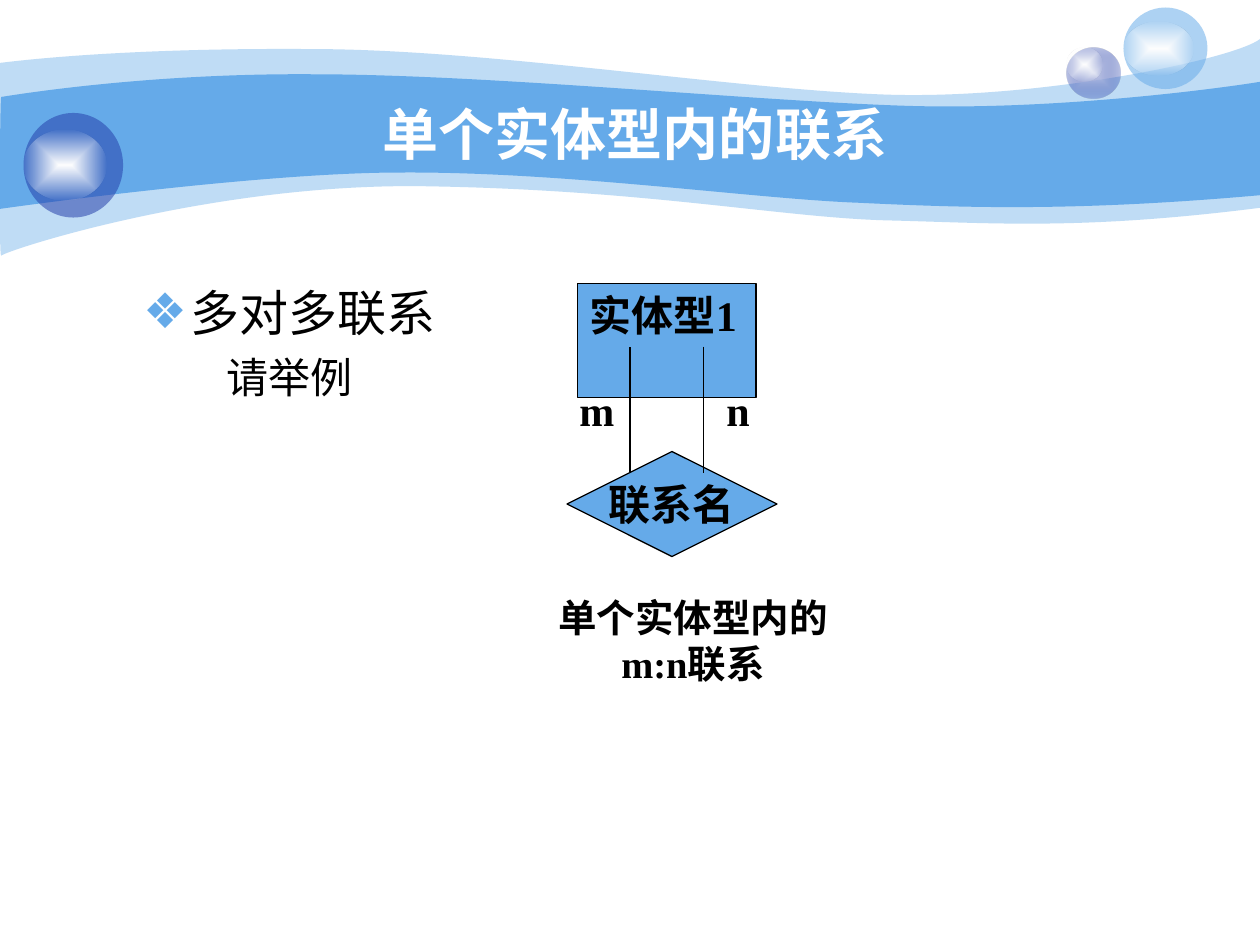
from typing import NamedTuple, Optional

from lxml.etree import SubElement
from pptx import Presentation
from pptx.dml.color import RGBColor
from pptx.enum.shapes import MSO_CONNECTOR, MSO_SHAPE
from pptx.enum.text import MSO_ANCHOR as Anchor, MSO_AUTO_SIZE as AutoSize, PP_ALIGN as Align
from pptx.oxml import parse_xml
from pptx.oxml.ns import nsdecls, qn
from pptx.util import Pt

PX = 3048  # 300 px to the inch
COLORS = {"sky": "65AAE9", "navy": "233DA9", "lilac": "C7CEE9",
          "white": "FFFFFF", "black": "000000"}
SERIF = "Times New Roman"


class Box(NamedTuple):
    left: int
    top: int
    width: int
    height: int

    def emu(self) -> list:
        return [n * PX for n in self]


class Band(NamedTuple):
    """Outline: a start, then straight (x, y) or Bezier (x1, y1, x2, y2, x, y) steps."""
    start: tuple
    steps: list
    opacity: int


class Stop(NamedTuple):
    color: str
    opacity: int


class Ball(NamedTuple):
    box: Box
    shine: Box
    color: str
    opacity: int
    center: Optional[str] = None


class Label(NamedTuple):
    text: str
    box: Box
    size: int = 24
    align: Align = Align.LEFT


BANDS = [
    Band((0, 150), [(72, 141, 321, 114, 741, 117), (1158, 117, 1725, 210, 2097, 225),
                    (2466, 240, 2940, 141, 3000, 93), (3000, 495),
                    (2574, 549, 2361, 531, 2115, 525), (1866, 519, 1545, 453, 1029, 444),
                    (516, 432, 12, 597, 3, 609), (-3, 624, 0, 225, 0, 150)], 41),
    Band((3, 231), [(6, 231, 330, 174, 744, 177), (1158, 177, 1785, 240, 2154, 252),
                    (2523, 264, 2928, 207, 3000, 195), (3000, 465),
                    (2559, 504, 2295, 495, 2046, 483), (1797, 474, 1341, 408, 951, 411),
                    (609, 411, -6, 498, -3, 498), (0, 498, 0, 231, 3, 231)], 100),
]
BALLS = [
    Ball(Box(2540, 113, 127, 121), Box(2540, 113, 85, 80), "navy", 31, "lilac"),
    Ball(Box(2675, 18, 200, 194), Box(2675, 51, 167, 128), "sky", 53),
    Ball(Box(56, 269, 237, 249), Box(56, 310, 197, 168), "navy", 53),
]
TITLE_BOX = Box(300, 225, 2425, 186)
LIST_BOX = Box(252, 657, 873, 315)
LIST_INDENT = 113
ENTITY = Label("实体型1", Box(1375, 675, 425, 271))
RELATION = Label("联系名", Box(1350, 1075, 500, 250), align=Align.CENTER)
LINKS = [((1500, 1125), (1500, 825)), ((1675, 825), (1675, 1125))]
LABELS = [
    Label("m", Box(1350, 900, 125, 150)),
    Label("n", Box(1700, 900, 125, 150)),
    Label("单个实体型内的m:n联系", Box(1275, 1400, 750, 252), 22, Align.CENTER),
]


def rgb(name: str) -> RGBColor:
    return RGBColor.from_string(COLORS[name])


def fill_solid(shape, color: str, opacity: int = 100) -> None:
    shape.shadow.inherit = False
    shape.fill.solid()
    shape.fill.fore_color.rgb = rgb(color)
    if opacity < 100:
        paint = shape._element.spPr.find(qn("a:solidFill"))[0]
        SubElement(paint, qn("a:alpha"), val=str(opacity * 1000))


def fill_glow(shape, center: Stop, edge: Stop) -> None:
    """Gradient that spreads from the middle of the shape to its edge."""
    shape.shadow.inherit = False
    shape.fill.background()
    stops = "".join(
        f'<a:gs pos="{pos}"><a:srgbClr val="{COLORS[stop.color]}">'
        f'<a:alpha val="{stop.opacity * 1000}"/></a:srgbClr></a:gs>'
        for pos, stop in ((0, center), (100000, edge)))
    properties = shape._element.spPr
    properties.replace(properties.find(qn("a:noFill")), parse_xml(
        f'<a:gradFill {nsdecls("a")} rotWithShape="1"><a:gsLst>{stops}</a:gsLst>'
        '<a:path path="rect"><a:fillToRect l="50000" t="50000" r="50000" b="50000"/>'
        '</a:path></a:gradFill>'))


def bend(wave, steps: list) -> None:
    """Joins the three line segments of each Bezier step into one curve."""
    segments = iter(wave._element.findall(".//" + qn("a:lnTo")))
    for step in steps:
        first = next(segments)
        if len(step) == 6:
            first.tag = qn("a:cubicBezTo")
            for _ in range(2):
                segment = next(segments)
                first.append(segment[0])
                segment.getparent().remove(segment)


def draw_band(shapes, band: Band) -> None:
    points = [step[i:i + 2] for step in band.steps for i in range(0, len(step), 2)]
    builder = shapes.build_freeform(*band.start, scale=PX)
    builder.add_line_segments(points, close=True)
    wave = builder.convert_to_shape()
    bend(wave, band.steps)
    fill_solid(wave, "sky", band.opacity)
    wave.line.fill.background()


def draw_ball(shapes, ball: Ball) -> None:
    body = shapes.add_shape(MSO_SHAPE.OVAL, *ball.box.emu())
    if ball.center:
        fill_glow(body, Stop(ball.center, 100), Stop(ball.color, ball.opacity))
    else:
        fill_solid(body, ball.color, ball.opacity)
    shine = shapes.add_shape(MSO_SHAPE.OVAL, *ball.shine.emu())
    fill_glow(shine, Stop("white", 100), Stop("white", 0))
    for oval in (body, shine):
        oval.line.fill.background()


def set_font(font, size: int, color: str = "black", name: str = SERIF,
             bold: bool = True) -> None:
    font.name, font.size, font.bold = name, Pt(size), bold
    font.color.rgb = rgb(color)


def write(shape, label: Label, anchor: Anchor = Anchor.TOP, wrap: bool = True) -> None:
    frame = shape.text_frame
    frame.text = label.text
    frame.word_wrap, frame.vertical_anchor = wrap, anchor
    frame.auto_size = AutoSize.NONE
    paragraph = frame.paragraphs[0]
    paragraph.alignment = label.align
    set_font(paragraph.runs[0].font, label.size)


def draw_node(shapes, kind: MSO_SHAPE, label: Label, anchor: Anchor, wrap: bool) -> None:
    node = shapes.add_shape(kind, *label.box.emu())
    fill_solid(node, "sky")
    node.line.color.rgb, node.line.width = rgb("black"), Pt(0.75)
    write(node, label, anchor, wrap)


def draw_link(shapes, start: tuple, end: tuple) -> None:
    link = shapes.add_connector(MSO_CONNECTOR.STRAIGHT, *(n * PX for n in start + end))
    link.line.color.rgb, link.line.width = rgb("black"), Pt(0.75)
    SubElement(link._element.spPr, qn("a:effectLst"))


def place(shapes, holder, box: Box) -> None:
    """Moves a placeholder to the front and to its box."""
    holder.left, holder.top, holder.width, holder.height = box.emu()
    shapes._spTree.append(holder._element)


def fill_title(shapes, title) -> None:
    place(shapes, title, TITLE_BOX)
    write(title, Label("单个实体型内的联系", TITLE_BOX, align=Align.CENTER), Anchor.MIDDLE)
    set_font(title.text_frame.paragraphs[0].runs[0].font, 32, "white", "Arial")


def fill_list(shapes, body) -> None:
    place(shapes, body, LIST_BOX)
    frame = body.text_frame
    frame.text = "多对多联系\n请举例"
    frame.word_wrap, frame.auto_size = True, AutoSize.NONE
    topic, prompt = frame.paragraphs
    for paragraph, size in ((topic, 28), (prompt, 24)):
        paragraph.alignment = Align.CENTER
        paragraph.space_before = Pt(0)
        properties = paragraph._p.get_or_add_pPr()
        properties.set("marL", str(LIST_INDENT * PX))
        properties.set("indent", str(-LIST_INDENT * PX))
        set_font(paragraph.runs[0].font, size, bold=False)
    prompt.line_spacing = 1.2
    bullet = topic._p.pPr
    SubElement(SubElement(bullet, qn("a:buClr")), qn("a:srgbClr"), val=COLORS["sky"])
    SubElement(bullet, qn("a:buChar"), char="❖")
    SubElement(prompt._p.pPr, qn("a:buNone"))


def main() -> None:
    deck = Presentation()
    deck.slide_width, deck.slide_height = 3000 * PX, 2250 * PX
    slide = deck.slides.add_slide(deck.slide_layouts[1])
    shapes = slide.shapes
    for band in BANDS:
        draw_band(shapes, band)
    for ball in BALLS:
        draw_ball(shapes, ball)
    fill_title(shapes, shapes.title)
    draw_node(shapes, MSO_SHAPE.RECTANGLE, ENTITY, Anchor.TOP, True)
    draw_node(shapes, MSO_SHAPE.DIAMOND, RELATION, Anchor.MIDDLE, False)
    for start, end in LINKS:
        draw_link(shapes, start, end)
    for label in LABELS:
        write(shapes.add_textbox(*label.box.emu()), label)
    fill_list(shapes, slide.placeholders[1])
    deck.save("out.pptx")


if __name__ == "__main__":
    main()
